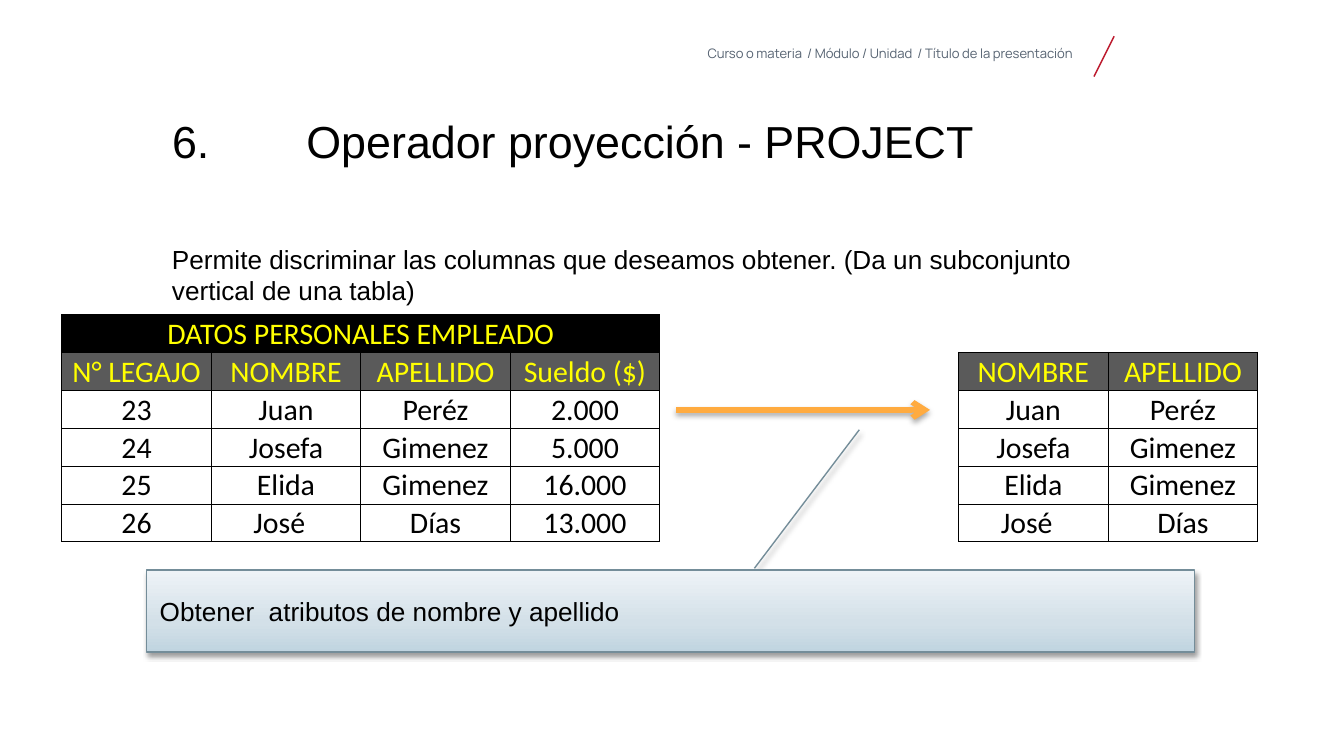
import copy

import pptx
import pptx.dml.color
import pptx.enum.dml
import pptx.enum.shapes
import pptx.enum.text
import pptx.oxml.ns
import pptx.util
from lxml import etree
from pptx.util import Inches, Pt

COLORS = {
    "black": "000000", "white": "FFFFFF", "header": "5A5A5A", "yellow": "FFFF00",
    "slate": "556271", "red": "BC182C", "orange": "FFAB40", "callout_line": "748D99",
}
CALLOUT_GRADIENT = [(0, "C0D4E0"), (0.35, "D3E0E8"), (1, "EEF3F7")]

BREADCRUMB = "Curso o materia  / Módulo / Unidad  / Título de la presentación "
HEADING = "6.\tOperador proyección - PROJECT"
DESCRIPTION = ("Permite discriminar las columnas que deseamos obtener. "
               "(Da un subconjunto vertical de una tabla)")
CALLOUT = "Obtener  atributos de nombre y apellido"

TABLE_TITLE = "DATOS PERSONALES EMPLEADO"
EMPLOYEES = [
    ("N° LEGAJO", "NOMBRE", "APELLIDO", "Sueldo ($)"),
    ("23", "Juan", "Peréz", "2.000"),
    ("24", "Josefa", "Gimenez", "5.000"),
    ("25", "Elida", "Gimenez", "16.000"),
    ("26", "José  ", "Días", "13.000"),
]
GAP = ("", "")
PROJECTED = slice(1, 3)
NO_STYLE = "{2D5ABB26-0587-4C30-8999-92F81FD0307C}"

qn = pptx.oxml.ns.qn
PP_ALIGN = pptx.enum.text.PP_ALIGN
ANCHOR = pptx.enum.text.MSO_ANCHOR


def rgb(name):
    return pptx.dml.color.RGBColor.from_string(COLORS.get(name, name))


def add_span(para, text, size, font, color):
    span = para.add_run()
    span.text = text
    span.font.size = Pt(size)
    span.font.name = font
    span.font.color.rgb = rgb(color)


def write_box(box, place, text, size, font="Arial", color="black",
              align=PP_ALIGN.LEFT, spacing=None):
    box.left, box.top, box.width, box.height = (Inches(value) for value in place)
    frame = box.text_frame
    frame.word_wrap = True
    frame.auto_size = pptx.enum.text.MSO_AUTO_SIZE.NONE
    frame.vertical_anchor = ANCHOR.TOP
    frame.margin_left = frame.margin_top = frame.margin_right = frame.margin_bottom = 0
    para = frame.paragraphs[0]
    para.alignment = align
    para.line_spacing = spacing
    add_span(para, text, size, font, color)


def add_tab_stop(para, position):
    stops = etree.SubElement(para._p.get_or_add_pPr(), qn("a:tabLst"))
    etree.SubElement(stops, qn("a:tab"), pos=str(Inches(position)), algn="l")


def set_effects(shape, opacity=None, distance=0):
    """Replace the theme effects by a downward shadow, or by none."""
    effects = etree.SubElement(shape._element.spPr, qn("a:effectLst"))
    if opacity:
        shadow = etree.SubElement(
            effects, qn("a:outerShdw"), blurRad=str(Pt(3.1)), dist=str(Pt(distance)),
            dir="5400000", rotWithShape="0")
        tint = etree.SubElement(shadow, qn("a:srgbClr"), val=COLORS["black"])
        etree.SubElement(tint, qn("a:alpha"), val=str(opacity * 1000))


def add_line(slide, start, end, color, width):
    line = slide.shapes.add_connector(
        pptx.enum.shapes.MSO_CONNECTOR.STRAIGHT,
        *(Inches(value) for value in start + end))
    line.line.color.rgb = rgb(color)
    line.line.width = Pt(width)
    return line


def is_filled(row, column):
    """Tell whether a cell belongs to the employee table or to its projection."""
    return 0 <= row < 6 and (0 <= column < 4 or 6 <= column < 8 and row > 0)


def set_borders(cell, row, column):
    sides = {"lnL": (0, -1), "lnR": (0, 1), "lnT": (-1, 0), "lnB": (1, 0)}
    for tag, (down, right) in sides.items():
        border = etree.SubElement(cell._tc.get_or_add_tcPr(), qn("a:" + tag), w=str(Pt(0.5)))
        if is_filled(row, column) or is_filled(row + down, column + right):
            solid = etree.SubElement(border, qn("a:solidFill"))
            etree.SubElement(solid, qn("a:srgbClr"), val=COLORS["black"])
        else:
            etree.SubElement(border, qn("a:noFill"))


def add_employee_table(slide):
    rows = [(TABLE_TITLE,) + ("",) * 7]
    rows += [record + GAP + record[PROJECTED] for record in EMPLOYEES]
    frame = slide.shapes.add_table(len(rows), 8, Inches(0.46), Inches(2.34),
                                   Inches(8.9), Inches(1.68))
    table = frame.table
    table.first_row = table.horz_banding = False
    table._tbl.tblPr.find(qn("a:tableStyleId")).text = NO_STYLE
    for line in table.rows:
        line.height = Inches(0.28)
    for row, values in enumerate(rows):
        for column, text in enumerate(values):
            cell = table.cell(row, column)
            cell.margin_left = cell.margin_right = cell.margin_top = Inches(0.01)
            cell.margin_bottom = 0
            cell.vertical_anchor = ANCHOR.BOTTOM
            set_borders(cell, row, column)
            fill = "white"
            if row < 2 and is_filled(row, column):
                fill = ("black", "header")[row]
            cell.fill.solid()
            cell.fill.fore_color.rgb = rgb(fill)
            para = cell.text_frame.paragraphs[0]
            para.alignment = PP_ALIGN.CENTER
            if text:
                add_span(para, text, 16, "Calibri", "yellow" if row < 2 else "black")
            else:
                etree.SubElement(para._p, qn("a:endParaRPr"), sz="1600")
    table.cell(0, 0).merge(table.cell(0, 3))


def add_callout(slide):
    callout = slide.shapes.add_shape(
        pptx.enum.shapes.MSO_SHAPE.LINE_CALLOUT_1,
        Inches(1.09), Inches(4.24), Inches(7.8), Inches(0.61))
    for index, value in enumerate((-0.02, 0.58, -1.71, 0.68)):
        callout.adjustments[index] = value
    callout.fill.gradient()
    callout.fill.gradient_angle = 90
    stop_list = callout._element.spPr.find(".//" + qn("a:gsLst"))
    stop_list.insert(1, copy.deepcopy(stop_list[0]))
    for stop, (position, color) in zip(callout.fill.gradient_stops, CALLOUT_GRADIENT):
        stop.position = position
        stop.color.rgb = rgb(color)
    callout.line.color.rgb = rgb("callout_line")
    callout.line.width = Pt(0.75)
    set_effects(callout, 38, 1.6)
    callout.text_frame.word_wrap = True
    callout.text_frame.vertical_anchor = ANCHOR.MIDDLE
    para = callout.text_frame.paragraphs[0]
    para.alignment = PP_ALIGN.LEFT
    add_span(para, CALLOUT, 14, "Arial", "black")


def main():
    deck = pptx.Presentation()
    deck.slide_width = Inches(10)
    deck.slide_height = deck.slide_width * 9 // 16
    slide = deck.slides.add_slide(deck.slide_layouts[5])

    breadcrumb = slide.shapes.add_textbox(0, 0, 0, 0)
    write_box(breadcrumb, (4.95, 0.35, 3.05, 0.14), BREADCRUMB, 7, "Manrope", "slate",
              PP_ALIGN.RIGHT, 0.9)
    set_effects(add_line(slide, (8.29, 0.27), (8.14, 0.57), "red", 0.75))
    heading = slide.shapes.title
    write_box(heading, (1.28, 0.89, 7.26, 0.83), HEADING, 24, spacing=0.9)
    add_tab_stop(heading.text_frame.paragraphs[0], 1)
    description = slide.shapes.add_textbox(0, 0, 0, 0)
    write_box(description, (1.28, 1.81, 7.27, 3.55), DESCRIPTION, 14)

    add_employee_table(slide)
    arrow = add_line(slide, (5.03, 3.05), (6.92, 3.05), "orange", 3)
    etree.SubElement(arrow.line._get_or_add_ln(), qn("a:tailEnd"), type="arrow")
    set_effects(arrow, 35, 1.8)
    add_callout(slide)
    deck.save("out.pptx")


if __name__ == "__main__":
    main()
